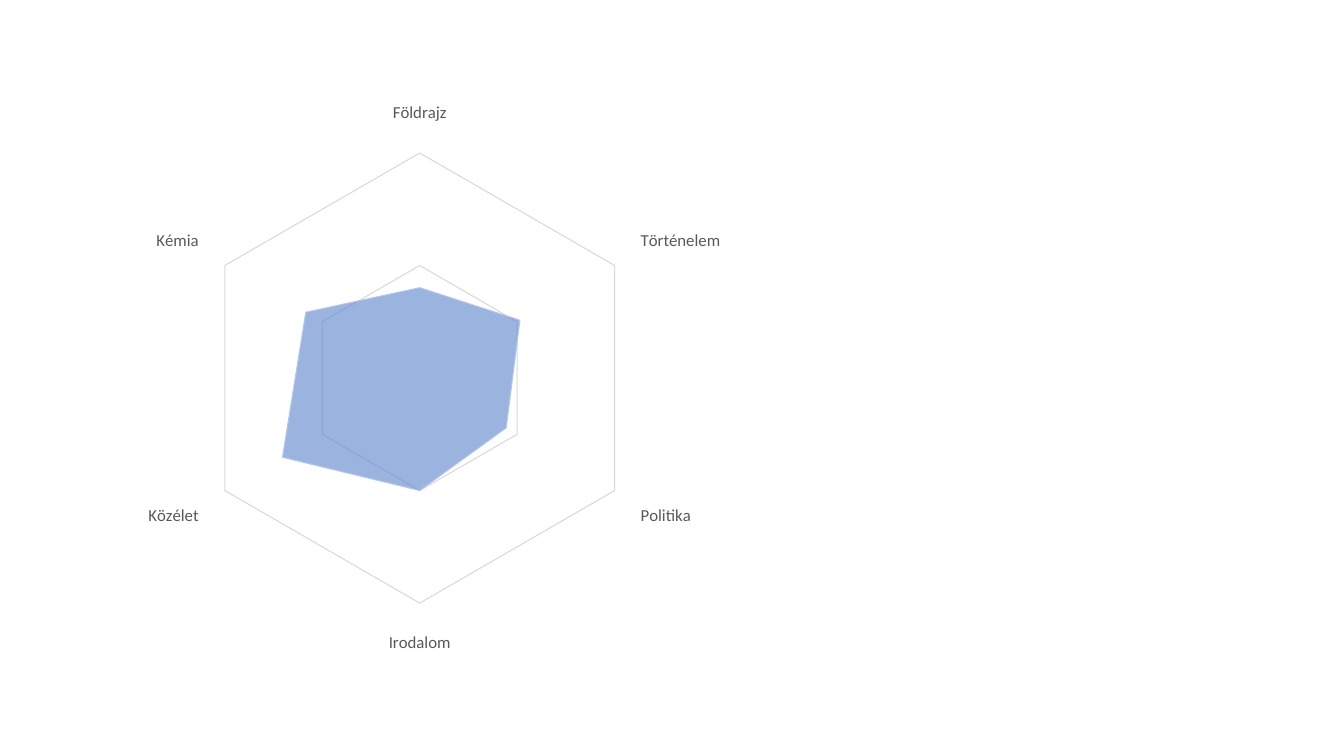
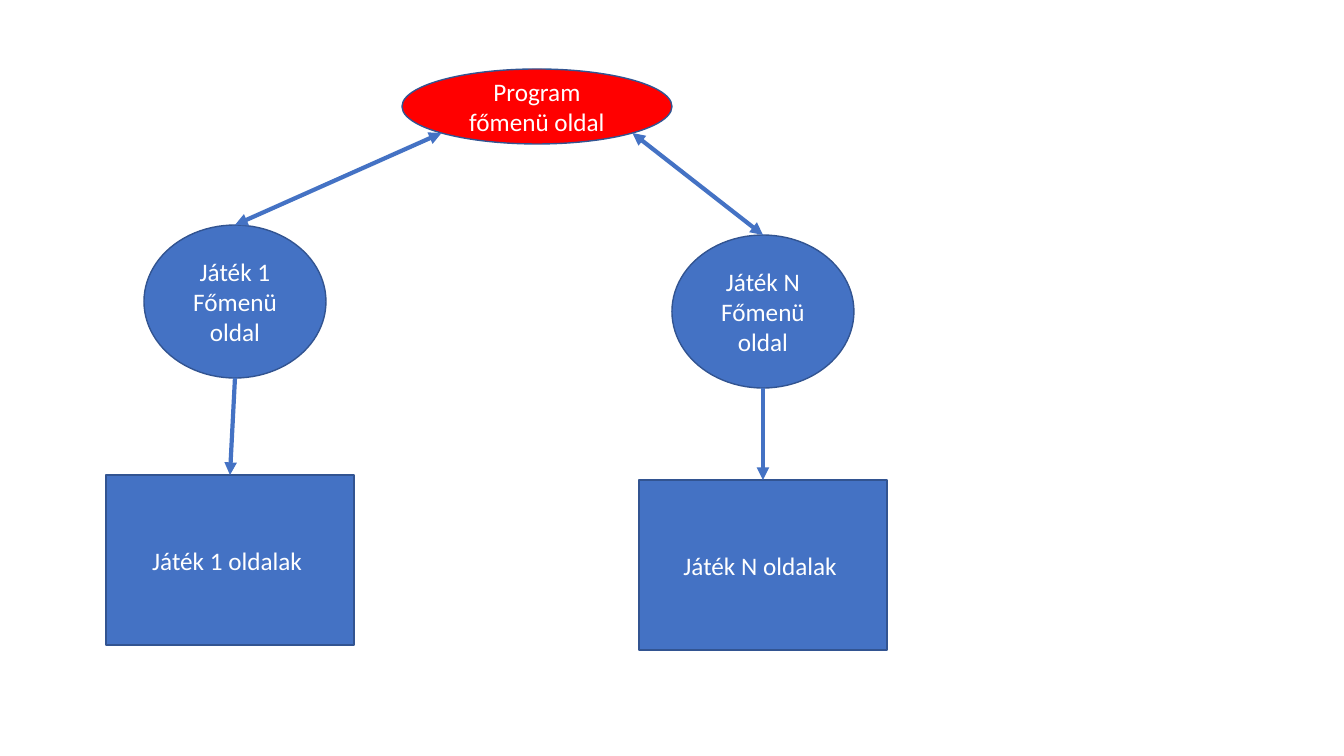
from dataclasses import dataclass

from lxml.etree import SubElement
from pptx import Presentation
from pptx.chart.chart import Chart
from pptx.chart.data import CategoryChartData
from pptx.dml.color import RGBColor as Rgb
from pptx.dml.line import LineFormat
from pptx.enum.chart import XL_CHART_TYPE as ChartType
from pptx.enum.chart import XL_TICK_LABEL_POSITION as TickLabel
from pptx.enum.chart import XL_TICK_MARK as TickMark
from pptx.enum.shapes import MSO_CONNECTOR as Connector
from pptx.enum.shapes import MSO_SHAPE as Preset
from pptx.enum.text import MSO_ANCHOR as Anchor
from pptx.enum.text import PP_ALIGN as Align
from pptx.oxml import parse_xml
from pptx.oxml.ns import nsdecls, qn
from pptx.shapes.autoshape import Shape
from pptx.slide import Slide
from pptx.util import Emu, Pt

SLIDE_W, SLIDE_H = 1344, 756
EMU_PER_PX = 12192000 / SLIDE_W
BLANK_LAYOUT = 6


@dataclass(frozen=True)
class Theme:
    font: str = "Calibri"
    node_size: int = 18
    chart_size: int = 10
    label_size: int = 12
    hairline: float = 0.75
    outline: float = 1
    arrow: float = 3
    accent: str = "4472C4"
    highlight: str = "FF0000"
    border: str = "325491"
    white: str = "FFFFFF"
    black: str = "000000"
    label: str = "595959"
    grid: str = "D9D9D9"
    area: str = "6A8ED0"
    area_alpha: int = 67
    area_edge: str = "B4C7E7"


THEME = Theme()


@dataclass(frozen=True)
class Box:
    x: int
    y: int
    w: int
    h: int

    def emu(self) -> tuple[Emu, Emu, Emu, Emu]:
        return px(self.x), px(self.y), px(self.w), px(self.h)


@dataclass(frozen=True)
class Node:
    text: str
    box: Box
    preset: Preset
    fill: str = THEME.accent


@dataclass(frozen=True)
class Branch:
    menu: Node
    pages: Node
    side: int  # -1 leaves the root on its left, 1 on its right


SUBJECT_SCORES = {
    "Földrajz": 57,
    "Történelem": 73,
    "Politika": 63,
    "Irodalom": 71,
    "Közélet": 100,
    "Kémia": 83,
}
GRID_STEP = 71
CHART_BOX = Box(112, 84, 646, 590)
PLOT_BOX = Box(195, 153, 450, 450)

ROOT = Node("Program főmenü oldal", Box(402, 69, 270, 75), Preset.OVAL, THEME.highlight)
MENU_W, MENU_H = 182, 153
PAGES_W, PAGES_H = 248, 170


def make_branch(name: str, menu_at: tuple[int, int], pages_at: tuple[int, int], side: int) -> Branch:
    return Branch(
        Node(f"{name} Főmenü oldal", Box(*menu_at, MENU_W, MENU_H), Preset.OVAL),
        Node(f"{name} oldalak ", Box(*pages_at, PAGES_W, PAGES_H), Preset.RECTANGLE),
        side,
    )


BRANCHES = [
    make_branch("Játék 1", (144, 225), (106, 475), -1),
    make_branch("Játék N", (672, 235), (639, 480), 1),
]


def px(n: float) -> Emu:
    return Emu(round(n * EMU_PER_PX))


def set_line(line: LineFormat, color: str, width: float) -> None:
    line.color.rgb = Rgb.from_string(color)
    line.width = Pt(width)


def place_plot(chart: Chart) -> None:
    """Fix the inner plot area as fractions of the chart frame."""
    c, p = CHART_BOX, PLOT_BOX
    parts = {
        "x": (p.x - c.x) / c.w,
        "y": (p.y - c.y) / c.h,
        "w": p.w / c.w,
        "h": p.h / c.h,
    }
    modes = "".join(f'<c:{k}Mode val="edge"/>' for k in "xy")
    values = "".join(f'<c:{k} val="{v:.3f}"/>' for k, v in parts.items())
    layout = parse_xml(
        f'<c:layout {nsdecls("c")}><c:manualLayout><c:layoutTarget val="inner"/>'
        f"{modes}{values}</c:manualLayout></c:layout>"
    )
    plot_area = chart._chartSpace.chart.plotArea
    for old in plot_area.findall(qn("c:layout")):
        plot_area.remove(old)
    plot_area.insert(0, layout)


def add_radar(slide: Slide) -> None:
    data = CategoryChartData()
    data.categories = list(SUBJECT_SCORES)
    data.add_series("Series 1", list(SUBJECT_SCORES.values()))
    chart = slide.shapes.add_chart(ChartType.RADAR_FILLED, *CHART_BOX.emu(), data).chart
    chart.has_legend = False
    chart.has_title = False
    chart.font.name = THEME.font
    chart.font.size = Pt(THEME.chart_size)
    chart.font.color.rgb = Rgb.from_string(THEME.black)
    place_plot(chart)

    cat = chart.category_axis
    cat.major_tick_mark = TickMark.NONE
    cat.tick_labels.font.name = THEME.font
    cat.tick_labels.font.size = Pt(THEME.label_size)
    cat.tick_labels.font.color.rgb = Rgb.from_string(THEME.label)
    set_line(cat.format.line, THEME.grid, THEME.hairline)

    val = chart.value_axis
    val.minimum_scale, val.maximum_scale, val.major_unit = 0, 2 * GRID_STEP, GRID_STEP
    val.has_major_gridlines = True
    set_line(val.major_gridlines.format.line, THEME.grid, THEME.hairline)
    val.tick_label_position = TickLabel.NONE
    val.visible = False

    plot = chart.plots[0]
    plot.vary_by_categories = False
    fmt = plot.series[0].format
    fmt.fill.solid()
    fmt.fill.fore_color.rgb = Rgb.from_string(THEME.area)
    color = plot.series[0]._element.find(f".//{qn('a:srgbClr')}")
    SubElement(color, qn("a:alpha")).set("val", str(THEME.area_alpha * 1000))
    set_line(fmt.line, THEME.area_edge, THEME.hairline)


def add_node(slide: Slide, node: Node) -> Shape:
    sp = slide.shapes.add_shape(node.preset, *node.box.emu())
    sp.shadow.inherit = False
    sp.fill.solid()
    sp.fill.fore_color.rgb = Rgb.from_string(node.fill)
    set_line(sp.line, THEME.border, THEME.outline)
    tf = sp.text_frame
    tf.word_wrap = True
    tf.vertical_anchor = Anchor.MIDDLE
    p = tf.paragraphs[0]
    p.alignment = Align.CENTER
    r = p.add_run()
    r.text = node.text
    r.font.name = THEME.font
    r.font.size = Pt(THEME.node_size)
    r.font.color.rgb = Rgb.from_string(THEME.white)
    return sp


def add_arrow(slide: Slide, start: tuple[float, float], target: Shape, two_way: bool = False) -> None:
    """Draw an arrow from a point to the top middle of the target."""
    begin = px(start[0]), px(start[1])
    cxn = slide.shapes.add_connector(Connector.STRAIGHT, *begin, *begin)
    cxn.end_connect(target, 0)
    set_line(cxn.line, THEME.accent, THEME.arrow)
    ln = cxn.line._get_or_add_ln()
    for end in ("headEnd", "tailEnd") if two_way else ("tailEnd",):
        SubElement(ln, qn(f"a:{end}")).set("type", "triangle")
    SubElement(cxn._element.spPr, qn("a:effectLst"))


def add_menu_map(slide: Slide) -> None:
    add_node(slide, ROOT)
    menus = [add_node(slide, b.menu) for b in BRANCHES]
    pages = [add_node(slide, b.pages) for b in BRANCHES]
    for branch, page in zip(BRANCHES, pages):
        box = branch.menu.box
        add_arrow(slide, (box.x + box.w / 2, box.y + box.h), page)
    root = ROOT.box
    diagonal = 0.5**0.5
    for branch, menu in zip(BRANCHES, menus):
        x = root.x + root.w / 2 * (1 + branch.side * diagonal)
        y = root.y + root.h / 2 * (1 + diagonal)
        add_arrow(slide, (x, y), menu, two_way=True)


def main() -> None:
    prs = Presentation()
    prs.slide_width, prs.slide_height = px(SLIDE_W), px(SLIDE_H)
    for draw in (add_radar, add_menu_map):
        draw(prs.slides.add_slide(prs.slide_layouts[BLANK_LAYOUT]))
    prs.save("out.pptx")


if __name__ == "__main__":
    main()
